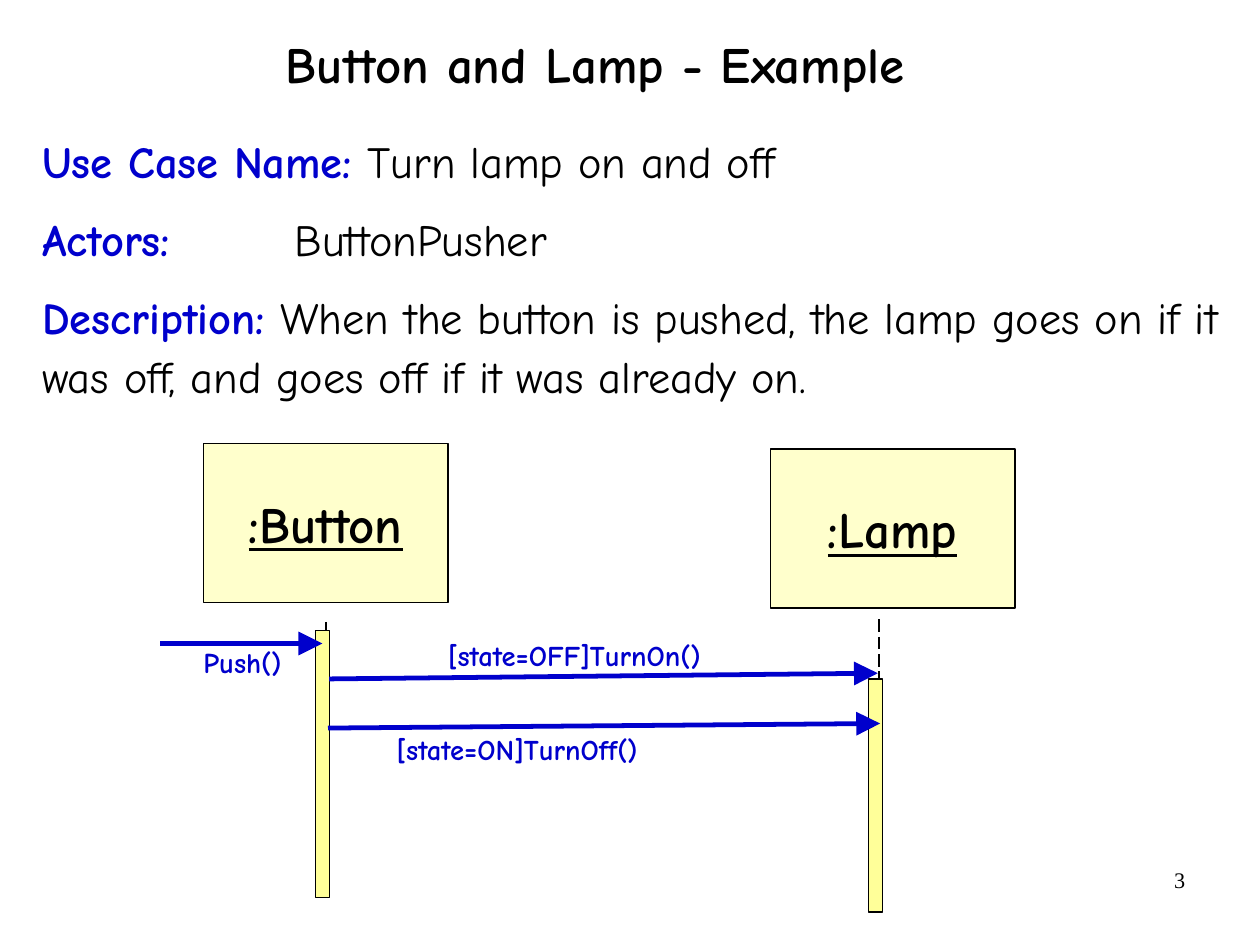
from lxml import etree
from pptx import Presentation
from pptx.dml.color import RGBColor
from pptx.enum import dml, shapes, text
from pptx.oxml.ns import qn
from pptx.util import Inches, Pt

HUES = {"ink": "000000", "blue": "0000CC", "cream": "FFFFCC", "yellow": "FFFF99"}
HAND, SERIF = "Comic Neue", "Times New Roman"
LEFT, MID, RIGHT = text.PP_ALIGN.LEFT, text.PP_ALIGN.CENTER, text.PP_ALIGN.RIGHT

# 280 by 210 millimetres
WIDE, TALL = 280 / 25.4, 210 / 25.4
TITLE = "Button and Lamp - Example"
FACTS = [
    ("Use Case Name: ", "Turn lamp on and off"),
    ("Actors: ", "\tButtonPusher"),
    ("Description: ", "When the button is pushed, the lamp goes on if it was off, "
                      "and goes off if it was already on."),
]
PAGE = "3"
TAB = 2.21
BOX = (2.14, 1.39)
BAR = 0.12
# name, box left, box top, lifeline x, lifeline top, bar left, bar top, bar bottom
ROLES = [
    (":Button", 1.78, 3.88, 2.85, 5.44, 2.76, 5.52, 7.85),
    (":Lamp", 6.74, 3.93, 7.69, 5.42, 7.6, 5.94, 7.98),
]
# label, label area, arrow start, arrow end
CALLS = [
    ("Push()", (1.67, 5.59, 0.94, 0.41), (1.4, 5.63), (2.82, 5.63)),
    ("[state=OFF]TurnOn()", (3.81, 5.53, 2.79, 0.41), (2.88, 5.94), (7.68, 5.89)),
    ("[state=ON]TurnOff()", (3.36, 6.35, 2.82, 0.41), (2.87, 6.37), (7.7, 6.33)),
]

deck = Presentation()
deck.slide_width = Inches(WIDE)
deck.slide_height = Inches(TALL)
slide = deck.slides.add_slide(deck.slide_layouts[6])


def tint(hue):
    return RGBColor.from_string(HUES[hue])


def write(para, words, size, hue="ink", font=HAND, **style):
    run = para.add_run()
    run.text = words
    looks = {"name": font, "size": Pt(size), **style}
    for key, value in looks.items():
        setattr(run.font, key, value)
    run.font.color.rgb = tint(hue)


def frame(shape, wrap=True, mid=False):
    """Set margins, wrapping and anchor, and return the text frame."""
    body = shape.text_frame
    anchor = text.MSO_ANCHOR.MIDDLE if mid else text.MSO_ANCHOR.TOP
    looks = {"margin_left": Inches(0.11), "margin_right": Inches(0.11),
             "margin_top": Inches(0.05), "margin_bottom": Inches(0.05),
             "word_wrap": wrap, "vertical_anchor": anchor}
    for key, value in looks.items():
        setattr(body, key, value)
    return body


def label(area, words, size, align=LEFT, wrap=True, mid=False, **style):
    box = slide.shapes.add_textbox(*map(Inches, area))
    para = frame(box, wrap, mid).paragraphs[0]
    para.alignment = align
    write(para, words, size, **style)
    return para


def block(area, fill, width):
    rect = slide.shapes.add_shape(shapes.MSO_SHAPE.RECTANGLE, *map(Inches, area))
    rect.shadow.inherit = False
    rect.fill.solid()
    rect.fill.fore_color.rgb = tint(fill)
    rect.line.color.rgb = tint("ink")
    rect.line.width = Pt(width)
    return rect


def link(start, end, hue, width):
    line = slide.shapes.add_connector(
        shapes.MSO_CONNECTOR.STRAIGHT, *map(Inches, start + end))
    line.line.color.rgb = tint(hue)
    line.line.width = Pt(width)
    etree.SubElement(line._element.spPr, qn("a:effectLst"))
    return line


label((7.91, 7.53, 2.57, 0.57), PAGE, 14, RIGHT, font=SERIF)
head = label((0.51, -0.1, 9.4, 1.37), TITLE, 32, MID, mid=True, bold=True)
head.line_spacing = 0.9

case = frame(slide.shapes.add_textbox(*map(Inches, (0.26, 1.08, 10.67, 2.49))))
for i, (term, fact) in enumerate(FACTS):
    para = case.add_paragraph() if i else case.paragraphs[0]
    para.line_spacing = 1.1
    para.space_before = para.space_after = Pt(6)
    tabs = etree.SubElement(para._p.get_or_add_pPr(), qn("a:tabLst"))
    etree.SubElement(tabs, qn("a:tab"), pos=str(Inches(TAB)), algn="l")
    write(para, term, 28, "blue", bold=True)
    write(para, fact, 28, bold=False)

for name, left, top, x, start, side, high, low in ROLES:
    box = block((left, top, *BOX), "cream", 1)
    para = frame(box, wrap=False, mid=True).paragraphs[0]
    para.alignment = MID
    write(para, name, 32, bold=True, underline=True)
    life = link((x, start), (x, 7.37), "ink", 1)
    life.line.dash_style = dml.MSO_LINE.LONG_DASH
    block((side, high, BAR, low - high), "yellow", 0.75)

for words, area, start, end in CALLS:
    arrow = link(start, end, "blue", 3)
    etree.SubElement(arrow.line._get_or_add_ln(), qn("a:tailEnd"),
                     type="triangle", w="lg", len="lg")
    label(area, words, 18, wrap=False, hue="blue", bold=True)

deck.save("out.pptx")
